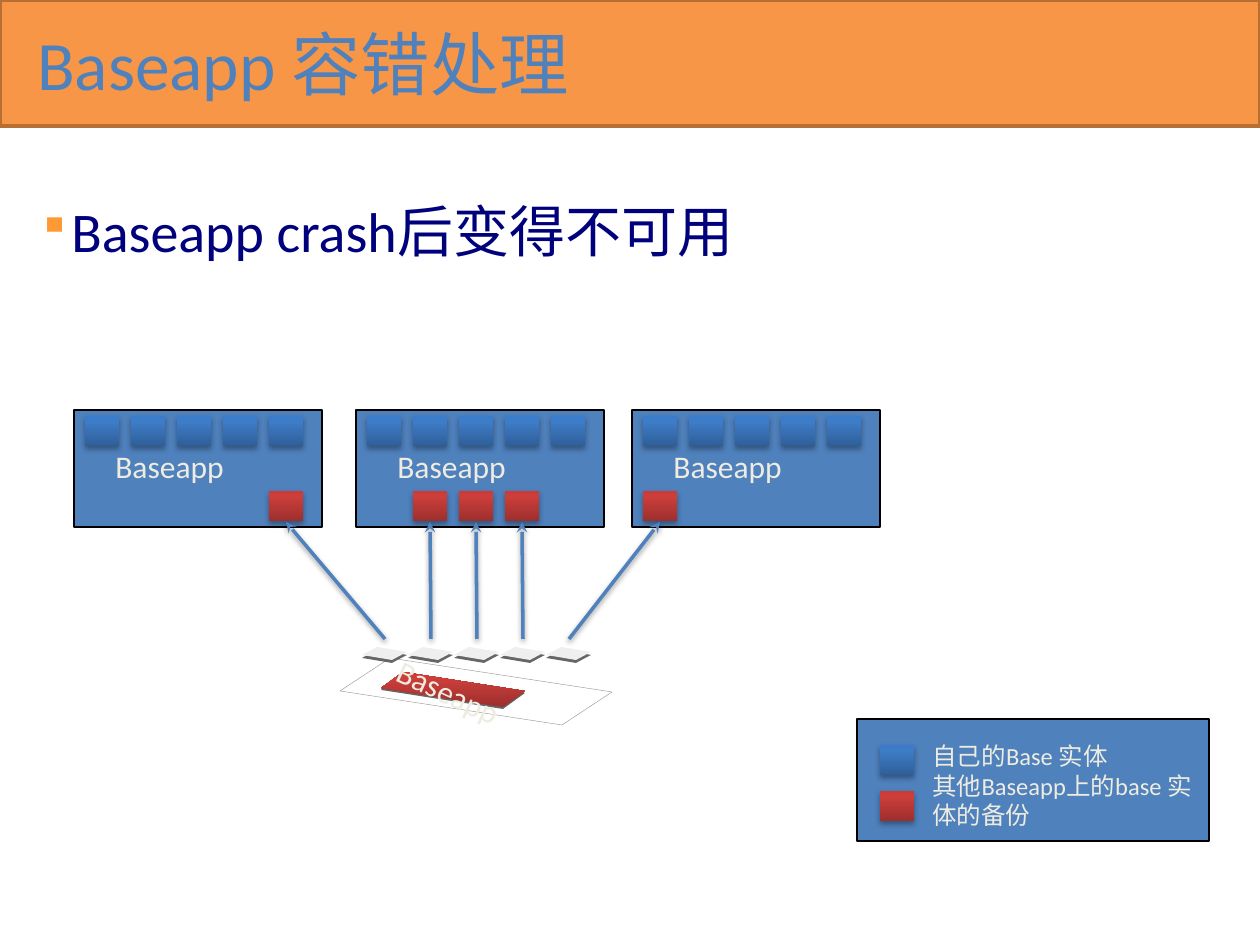
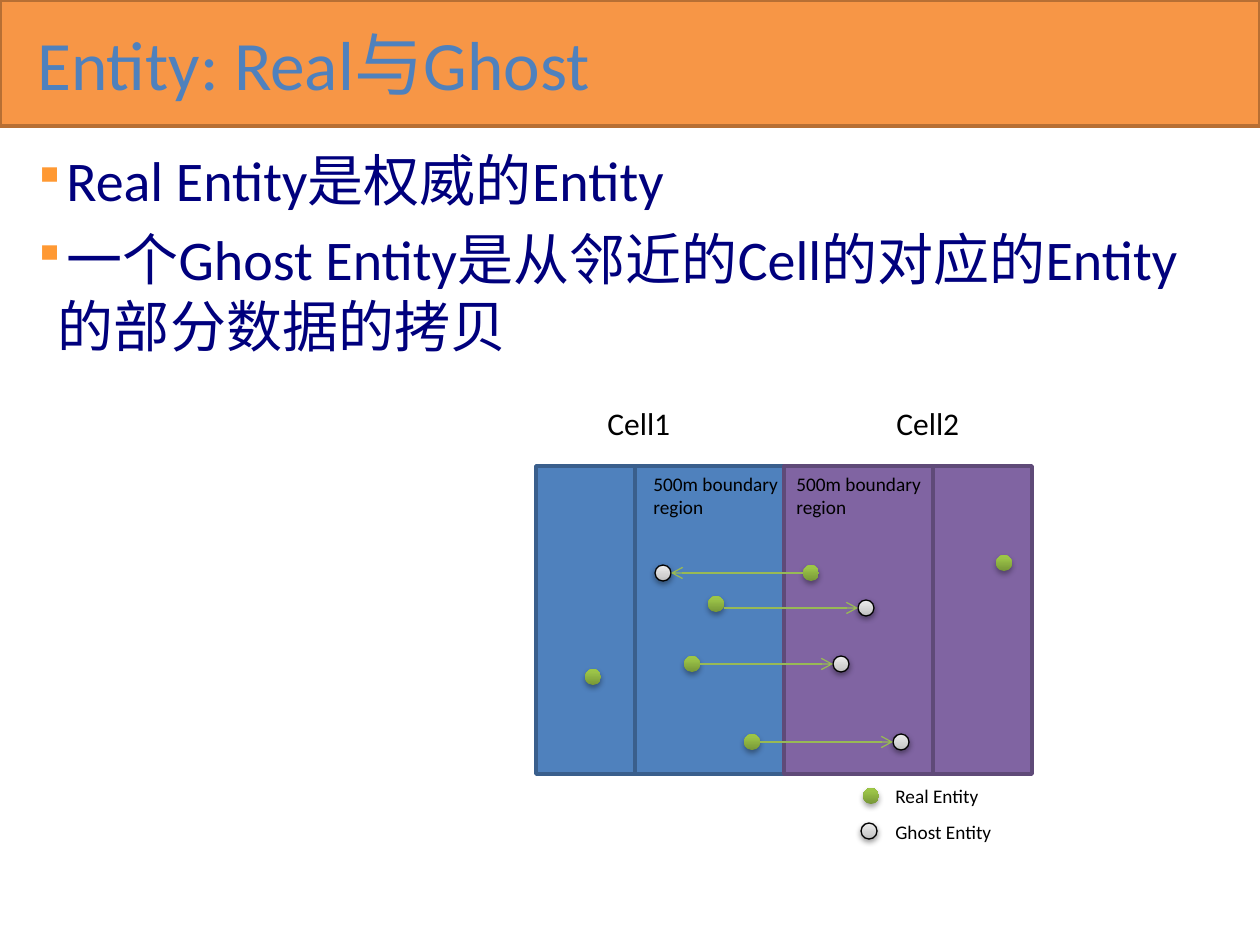
from dataclasses import dataclass
from typing import NamedTuple

from lxml.etree import SubElement
from pptx import Presentation
from pptx.dml.color import RGBColor
from pptx.enum.shapes import MSO_CONNECTOR, MSO_SHAPE
from pptx.enum.text import MSO_ANCHOR
from pptx.oxml.ns import qn
from pptx.slide import Slide
from pptx.util import Emu, Pt

FONT = "Calibri"
ORANGE = RGBColor(0xF7, 0x96, 0x46)
ORANGE_EDGE = RGBColor(0xB7, 0x6F, 0x34)
BULLET = RGBColor(0xFF, 0x99, 0x33)
NAVY = RGBColor(0x00, 0x00, 0x7D)
BLUE = RGBColor(0x4F, 0x81, 0xBD)
BLUE_EDGE = RGBColor(0x3A, 0x5F, 0x8C)
PURPLE = RGBColor(0x80, 0x64, 0xA2)
PURPLE_EDGE = RGBColor(0x5F, 0x4A, 0x78)
CREAM = RGBColor(0xEE, 0xEC, 0xE1)
BLACK = RGBColor(0x00, 0x00, 0x00)
GREEN_LINE = RGBColor(0x98, 0xB9, 0x55)
PALE_GRAY = RGBColor(0xEF, 0xEF, 0xEF)
MID_GRAY = RGBColor(0x99, 0x99, 0x99)
DARK_GRAY = RGBColor(0x66, 0x66, 0x66)


class Stop(NamedTuple):
    percent: int
    color: str


BLUE_GRADIENT = (Stop(0, "2F5F99"), Stop(80, "3D7CC7"), Stop(100, "3A7CCB"))
RED_GRADIENT = (Stop(0, "9C2F2D"), Stop(80, "CB3E3A"), Stop(100, "CE3B37"))
GREEN_GRADIENT = (Stop(0, "779737"), Stop(80, "9BC348"), Stop(100, "9DC746"))
GRAY_GRADIENT = (Stop(0, "BDBDBD"), Stop(35, "D1D1D1"), Stop(100, "EEEEEE"))
Fill = RGBColor | tuple[Stop, ...] | None


class Point(NamedTuple):
    x: int
    y: int


class Box(NamedTuple):
    left: int
    top: int
    width: int
    height: int


@dataclass
class Shadow:
    opacity: int
    distance: float


@dataclass
class Server:
    left: int
    backup_slots: tuple[int, ...]


@dataclass
class Cell:
    name: str
    left: int
    region_left: int
    label_left: int
    note_left: int
    fill: RGBColor
    edge: RGBColor


@dataclass
class Copy:
    real: Point
    ghost: Point


SOFT_SHADOW = Shadow(35, 1.8)
LINE_SHADOW = Shadow(38, 1.6)

SERVER_TOP, SERVER_WIDTH, SERVER_HEIGHT = 410, 248, 117
SLOT_INSET, SLOT_PITCH, SLOT_COUNT = 11, 46, 5
ENTITY_WIDTH, ENTITY_HEIGHT = 34, 30
ENTITY_TOP, BACKUP_TOP = 416, 491
SERVERS = (Server(74, (4,)), Server(356, (1, 2, 3)), Server(632, (0,)))

CELL_TOP, CELL_WIDTH, CELL_HEIGHT, REGION_WIDTH = 466, 248, 308, 149
CELLS = (
    Cell("Cell1", 536, 635, 595, 641, BLUE, BLUE_EDGE),
    Cell("Cell2", 784, 784, 884, 784, PURPLE, PURPLE_EDGE),
)
RADIUS = 8
COPIES = (
    Copy(Point(811, 573), Point(663, 573)),
    Copy(Point(716, 604), Point(866, 608)),
    Copy(Point(692, 664), Point(841, 664)),
    Copy(Point(752, 742), Point(901, 742)),
)
LONE_ENTITIES = (Point(593, 677), Point(1004, 563))


def px(length: float) -> Emu:
    return Emu(round(length * 914400 / 126))


def add_shadow(effects, shadow: Shadow) -> None:
    outer = SubElement(effects, qn("a:outerShdw"), blurRad="40000",
                       dist=str(Pt(shadow.distance)), dir="5400000", rotWithShape="0")
    color = SubElement(outer, qn("a:srgbClr"), val="000000")
    SubElement(color, qn("a:alpha"), val=str(shadow.opacity * 1000))


def format_shape(shape, fill: Fill, line: RGBColor | None = None,
                 line_width: float = 0.75, shadow: Shadow | None = None):
    if fill is None:
        shape.fill.background()
    elif isinstance(fill, RGBColor):
        shape.fill.solid()
        shape.fill.fore_color.rgb = fill
    else:
        shape.fill.gradient()
        shape.fill.gradient_angle = 90
        stops = shape._element.spPr.find(".//" + qn("a:gsLst"))
        stops.clear()
        for stop in fill:
            entry = SubElement(stops, qn("a:gs"), pos=str(stop.percent * 1000))
            SubElement(entry, qn("a:srgbClr"), val=stop.color)
    if line is None:
        shape.line.fill.background()
    else:
        shape.line.color.rgb = line
        shape.line.width = Pt(line_width)
    shape.shadow.inherit = False
    if shadow:
        add_shadow(shape._element.spPr.find(qn("a:effectLst")), shadow)
    return shape


def add_box(slide: Slide, box: Box, fill: Fill, kind=MSO_SHAPE.RECTANGLE, **style):
    return format_shape(slide.shapes.add_shape(kind, *map(px, box)), fill, **style)


def add_outline(slide: Slide, points: list[Point], fill: Fill, **style):
    corners = [(px(x), px(y)) for x, y in points]
    builder = slide.shapes.build_freeform(*corners[0])
    builder.add_line_segments(corners[1:], close=True)
    return format_shape(builder.convert_to_shape(), fill, **style)


def add_arrow(slide: Slide, start: Point, end: Point, color: RGBColor, width: float,
              head: str, shadow: Shadow | None = None) -> None:
    arrow = slide.shapes.add_connector(MSO_CONNECTOR.STRAIGHT, *map(px, start + end))
    arrow.line.color.rgb = color
    arrow.line.width = Pt(width)
    properties = arrow._element.spPr
    SubElement(properties.find(qn("a:ln")), qn("a:tailEnd"), type=head)
    effects = SubElement(properties, qn("a:effectLst"))
    if shadow:
        add_shadow(effects, shadow)


def add_bullet(paragraph) -> None:
    paragraph.space_before = Pt(6.4)
    properties = paragraph._p.get_or_add_pPr()
    properties.set("marL", str(px(25)))
    properties.set("indent", str(px(-25)))
    color = SubElement(properties, qn("a:buClr"))
    SubElement(color, qn("a:srgbClr"), val=str(BULLET))
    SubElement(properties, qn("a:buSzPct"), val="80000")
    SubElement(properties, qn("a:buChar"), char="▪")


def add_text(slide: Slide, text: str, box: Box, *, size: float, color: RGBColor,
             wrap: bool = True, anchor=MSO_ANCHOR.TOP, bullets: bool = False,
             insets: tuple[int, ...] | None = None, rotation: float = 0) -> None:
    shape = slide.shapes.add_textbox(*map(px, box))
    shape.rotation = rotation
    frame = shape.text_frame
    frame.word_wrap = wrap
    frame.vertical_anchor = anchor
    if insets:
        (frame.margin_left, frame.margin_top,
         frame.margin_right, frame.margin_bottom) = map(px, insets)
    frame.text = text
    for paragraph in frame.paragraphs:
        if bullets:
            add_bullet(paragraph)
        for run in paragraph.runs:
            run.font.name = FONT
            run.font.size = Pt(size)
            run.font.color.rgb = color


def add_page(presentation, title: str, body: str, body_box: Box) -> Slide:
    slide = presentation.slides.add_slide(presentation.slide_layouts[6])
    add_box(slide, Box(0, 0, 1260, 126), ORANGE, line=ORANGE_EDGE, line_width=2)
    add_text(slide, title, Box(25, 18, 973, 89), size=39.6, color=BLUE,
             anchor=MSO_ANCHOR.MIDDLE)
    add_text(slide, body, body_box, size=32, color=NAVY, bullets=True,
             insets=(8, 1, 5, 6))
    return slide


def add_entity(slide: Slide, left: int, top: int, fill: Fill) -> None:
    add_box(slide, Box(left, top, ENTITY_WIDTH, ENTITY_HEIGHT), fill, shadow=SOFT_SHADOW)


def add_server(slide: Slide, server: Server) -> list[Point]:
    add_box(slide, Box(server.left, SERVER_TOP, SERVER_WIDTH, SERVER_HEIGHT), BLUE,
            line=BLACK)
    add_text(slide, "Baseapp", Box(server.left + 29, 441, 135, 50), size=18,
             color=CREAM, wrap=False)
    slots = [server.left + SLOT_INSET + SLOT_PITCH * i for i in range(SLOT_COUNT)]
    for left in slots:
        add_entity(slide, left, ENTITY_TOP, BLUE_GRADIENT)
    backups = [slots[i] for i in server.backup_slots]
    for left in backups:
        add_entity(slide, left, BACKUP_TOP, RED_GRADIENT)
    return [Point(left + ENTITY_WIDTH // 2, 522) for left in backups]


def add_slab(slide: Slide, points: list[Point], fill: Fill, depth: int) -> None:
    add_outline(slide, [Point(x, y + depth) for x, y in points], DARK_GRAY)
    add_outline(slide, points, fill)


def add_crashed_server(slide: Slide) -> list[Point]:
    add_outline(slide, [Point(340, 691), Point(390, 658), Point(612, 692), Point(562, 725)],
                None, line=MID_GRAY, line_width=0.25)
    add_slab(slide, [Point(381, 688), Point(403, 672), Point(525, 691), Point(503, 707)],
             RED_GRADIENT, 2)
    add_text(slide, "Baseapp", Box(382, 667, 135, 50), size=18, color=CREAM,
             wrap=False, rotation=25)
    centers = [385 + SLOT_PITCH * i for i in range(SLOT_COUNT)]
    for x in centers:
        add_slab(slide, [Point(x - 23, 655), Point(x - 8, 647), Point(x + 22, 652),
                         Point(x + 7, 660)], PALE_GRAY, 3)
    return [Point(x, 639) for x in centers]


def add_dot(slide: Slide, center: Point, ghost: bool = False) -> None:
    add_box(slide, Box(center.x - RADIUS, center.y - RADIUS, 2 * RADIUS, 2 * RADIUS),
            GRAY_GRADIENT if ghost else GREEN_GRADIENT, MSO_SHAPE.FLOWCHART_CONNECTOR,
            line=BLACK if ghost else None, shadow=LINE_SHADOW if ghost else SOFT_SHADOW)


def build_crash_slide(presentation) -> None:
    slide = add_page(presentation, "Baseapp 容错处理", "Baseapp crash后变得不可用",
                     Box(30, 195, 1206, 198))
    targets = [target for server in SERVERS for target in add_server(slide, server)]
    sources = add_crashed_server(slide)
    for source, target in zip(sources, targets):
        add_arrow(slide, source, target, BLUE, 2, "stealth", LINE_SHADOW)
    add_box(slide, Box(857, 719, 352, 122), BLUE, line=BLACK)
    add_entity(slide, 880, 745, BLUE_GRADIENT)
    add_entity(slide, 880, 791, RED_GRADIENT)
    add_text(slide, "自己的Base 实体\n其他Baseapp上的base 实体的备份",
             Box(920, 735, 300, 102), size=14, color=CREAM)


def build_ghost_slide(presentation) -> None:
    slide = add_page(presentation, "Entity: Real与Ghost",
                     "Real Entity是权威的Entity\n"
                     "一个Ghost Entity是从邻近的Cell的对应的Entity的部分数据的拷贝",
                     Box(25, 145, 1206, 750))
    for cell in CELLS:
        for left, width in ((cell.left, CELL_WIDTH), (cell.region_left, REGION_WIDTH)):
            add_box(slide, Box(left, CELL_TOP, width, CELL_HEIGHT), cell.fill,
                    MSO_SHAPE.FLOWCHART_PROCESS, line=cell.edge, line_width=2)
    for cell in CELLS:
        add_text(slide, cell.name, Box(cell.label_left, 398, 92, 50), size=18, color=BLACK)
        add_text(slide, "500m boundary region", Box(cell.note_left, CELL_TOP, 160, 59),
                 size=11, color=BLACK)
    for center in LONE_ENTITIES:
        add_dot(slide, center)
    for real, ghost in ((copy.real, copy.ghost) for copy in COPIES):
        add_dot(slide, real)
        add_dot(slide, ghost, ghost=True)
        reach = RADIUS if ghost.x > real.x else -RADIUS
        add_arrow(slide, Point(real.x + reach, ghost.y), Point(ghost.x - reach, ghost.y),
                  GREEN_LINE, 0.75, "arrow")
    add_dot(slide, Point(871, 796))
    add_dot(slide, Point(869, 831), ghost=True)
    for name, top in (("Real Entity", 778), ("Ghost Entity", 814)):
        add_text(slide, name, Box(883, top, 164, 37), size=11, color=BLACK)


presentation = Presentation()
presentation.slide_width = px(1260)
presentation.slide_height = px(945)
build_crash_slide(presentation)
build_ghost_slide(presentation)
presentation.save("out.pptx")
